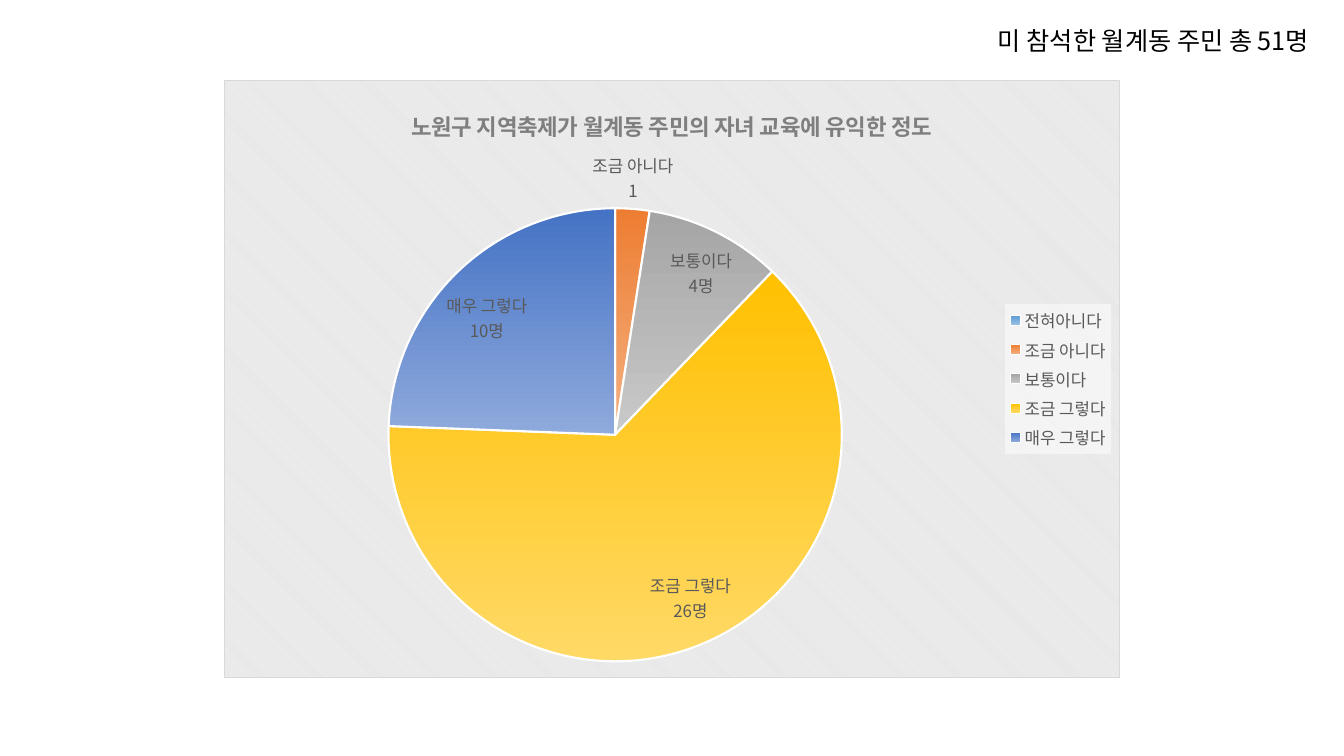
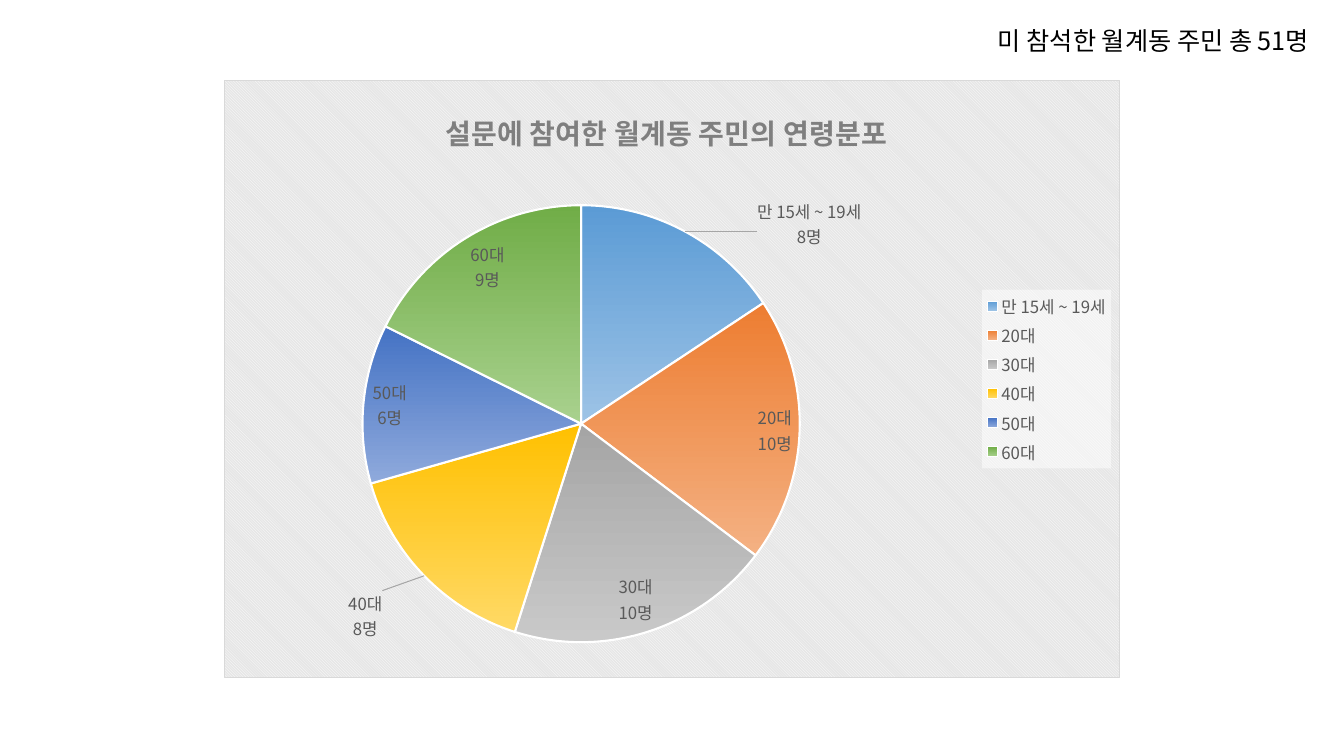
from lxml import etree
from pptx import Presentation
from pptx import util as u
from pptx.chart.data import CategoryChartData
from pptx.dml.color import RGBColor
from pptx.enum import chart as ch, text
from pptx.oxml import parse_xml
from pptx.oxml.ns import nsdecls, qn

PX = 914400 / 100.8
FACE = "Noto Sans CJK KR"
GRAY = "595959"
SLICES = [("5B9BD5", "9DC3E6"), ("ED7D31", "F4B183"), ("A5A5A5", "C9C9C9"),
          ("FFC000", "FFD966"), ("4472C4", "8FAADC"), ("70AD47", "A9D18E")]
FRAME = (224, 80, 896, 598)
NOTE = (988, 20, 373, 40)
NOTE_TEXT = "미 참석한 월계동 주민 총 51명"

# Title and plot boxes are px from the chart's corner.
# "named" is the first slice with a written label; "moved" holds label shifts.
PIES = [
    dict(title="노원구 지역축제가 월계동 주민의 자녀 교육에 유익한 정도", size=16,
         spot=(183, 23), plot=(164, 128, 454, 454), named=2, moved={},
         cats=["전혀아니다", "조금 아니다", "보통이다", "조금 그렇다", "매우 그렇다"],
         vals=[None, 1, 4, 26, 10]),
    dict(title="설문에 참여한 월계동 주민의 연령분포", size=20,
         spot=(216, 23), plot=(138, 125, 438, 438), named=0,
         moved={0: (70, 23), 3: (-38, 11)},
         cats=["만 15세 ~ 19세", "20대", "30대", "40대", "50대", "60대"],
         vals=[8, 10, 10, 8, 6, 9]),
]


def emu(*vals):
    return [u.Emu(round(v * PX)) for v in vals]


def rgb(code):
    return RGBColor.from_string(code)


def style(font, size, color, bold=False):
    for key, val in dict(size=u.Pt(size), bold=bold, name=FACE).items():
        setattr(font, key, val)
    font.color.rgb = rgb(color)
    etree.SubElement(font._rPr, qn("a:ea")).set("typeface", FACE)


def node(body):
    """Parse a chart element given without its namespaces."""
    name, rest = body.split(">", 1)
    return parse_xml(f"{name} {nsdecls('c', 'a')}>{rest}")


def place(owner, slot, box, frame, mode="edge"):
    """Put a manual layout into a chart part; box is in px of the frame."""
    for old in owner.findall(qn("c:layout")):
        owner.remove(old)
    inner = '<c:layoutTarget val="inner"/>' if len(box) == 4 else ""
    modes = "".join(f'<c:{a}Mode val="{mode}"/>' for a in "xy")
    sizes = "".join(f'<c:{a} val="{v / frame[2 + i % 2]:.3f}"/>'
                    for i, (a, v) in enumerate(zip("xywh", box)))
    owner.insert(slot, node("<c:layout><c:manualLayout>"
                            f"{inner}{modes}{sizes}</c:manualLayout></c:layout>"))


def ground(chart):
    """Hatch the chart area and give it a thin square border."""
    area = chart._chartSpace.find(qn("c:chart"))
    area.addprevious(node('<c:roundedCorners><!-- --></c:roundedCorners>'))
    area.getprevious().set("val", "0")
    area.addnext(node(
        '<c:spPr><a:pattFill prst="dkDnDiag">'
        '<a:fgClr><a:srgbClr val="FFFFFF"/></a:fgClr>'
        '<a:bgClr><a:srgbClr val="E6E6E6"/></a:bgClr></a:pattFill>'
        '<a:ln w="9525"><a:solidFill><a:srgbClr val="D9D9D9"/></a:solidFill></a:ln>'
        '</c:spPr>'))


def head(chart, pie, frame):
    title = chart.chart_title
    par = title.text_frame.paragraphs[0]
    run = par.add_run()
    run.text = pie["title"]
    style(run.font, pie["size"], "7F7F7F", True)
    place(title._element, 1, pie["spot"], frame)


def key(chart):
    """Legend on a half-clear white panel."""
    chart.has_legend = True
    legend = chart.legend
    legend.position = ch.XL_LEGEND_POSITION.RIGHT
    legend.include_in_layout = False
    style(legend.font, 12, GRAY)
    legend._element.find(qn("c:overlay")).addnext(node(
        '<c:spPr><a:solidFill><a:srgbClr val="FFFFFF"><a:alpha val="50000"/>'
        '</a:srgbClr></a:solidFill></c:spPr>'))


def paint(series, count):
    for i, shades in enumerate(SLICES[:count]):
        form = series.points[i].format
        form.fill.gradient()
        form.fill.gradient_angle = 270
        for stop, shade in zip(form.fill.gradient_stops, shades):
            stop.color.rgb = rgb(shade)
        form.line.color.rgb = rgb("FFFFFF")
        form.line.width = u.Pt(1.5)


def label(series, pie, frame):
    tags = series.data_labels
    for name, val in dict(show_value=True, show_category_name=True,
                          position=ch.XL_LABEL_POSITION.BEST_FIT).items():
        setattr(tags, name, val)
    style(tags.font, 12, GRAY)
    root = tags._element
    root.find(qn("c:showBubbleSize")).addnext(node("<c:separator>\n</c:separator>"))
    root.find(qn("c:showLeaderLines")).addnext(node(
        '<c:leaderLines><c:spPr><a:ln w="9525"><a:solidFill>'
        '<a:srgbClr val="A6A6A6"/></a:solidFill></a:ln></c:spPr></c:leaderLines>'))
    pairs = list(enumerate(zip(pie["cats"], pie["vals"])))
    for i, (cat, val) in pairs[pie["named"]:]:
        tag = series.points[i].data_label
        tag.text_frame.text = f"{cat}\n{val}명"
        for par in tag.text_frame.paragraphs:
            style(par.runs[0].font, 12, GRAY)
        shift = pie["moved"].get(i)
        spots = ch.XL_LABEL_POSITION
        tag.position = spots.OUTSIDE_END if shift else spots.BEST_FIT
        if shift:
            dlbl = next(d for d in root.findall(qn("c:dLbl"))
                        if d.find(qn("c:idx")).get("val") == str(i))
            place(dlbl, 1, shift, frame, "factor")


def draw(slide, pie, frame):
    """Pie chart with its title, legend and labels."""
    data = CategoryChartData()
    data.categories = pie["cats"]
    data.add_series("Series 1", pie["vals"])
    chart = slide.shapes.add_chart(ch.XL_CHART_TYPE.PIE, *emu(*frame), data).chart
    style(chart.font, 10, "000000")
    ground(chart)
    head(chart, pie, frame)
    key(chart)
    plot = chart.plots[0]
    plot.vary_by_categories = True
    paint(plot.series[0], len(pie["cats"]))
    label(plot.series[0], pie, frame)
    place(chart._chartSpace.find(".//" + qn("c:plotArea")), 0, pie["plot"], frame)


def note(slide, box):
    frame = slide.shapes.add_textbox(*emu(*box)).text_frame
    frame.word_wrap = False
    frame.auto_size = text.MSO_AUTO_SIZE.SHAPE_TO_FIT_TEXT
    run = frame.paragraphs[0].add_run()
    run.text = NOTE_TEXT
    style(run.font, 18, "000000")


def main():
    deck = Presentation()
    deck.slide_width, deck.slide_height = emu(1344, 756)
    for pie in PIES:
        slide = deck.slides.add_slide(deck.slide_layouts[6])
        draw(slide, pie, FRAME)
        note(slide, NOTE)
    deck.save("out.pptx")


if __name__ == "__main__":
    main()
